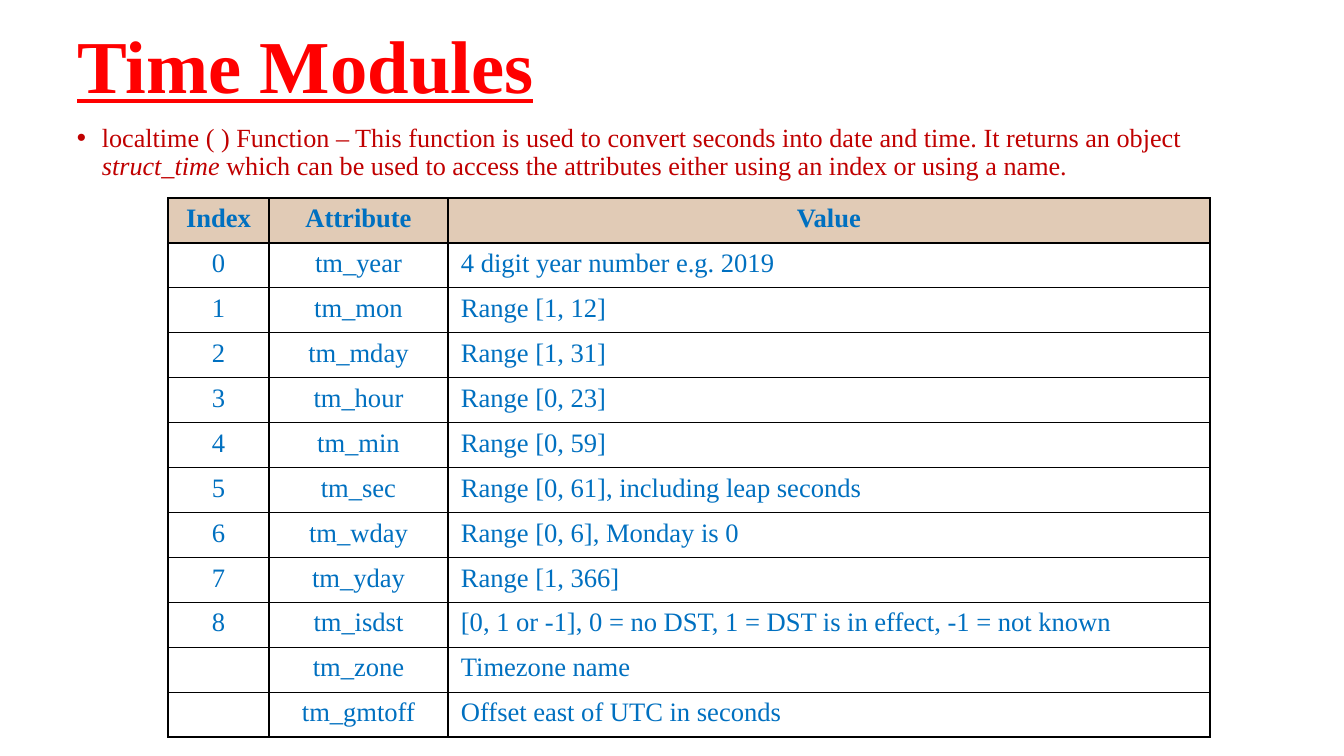
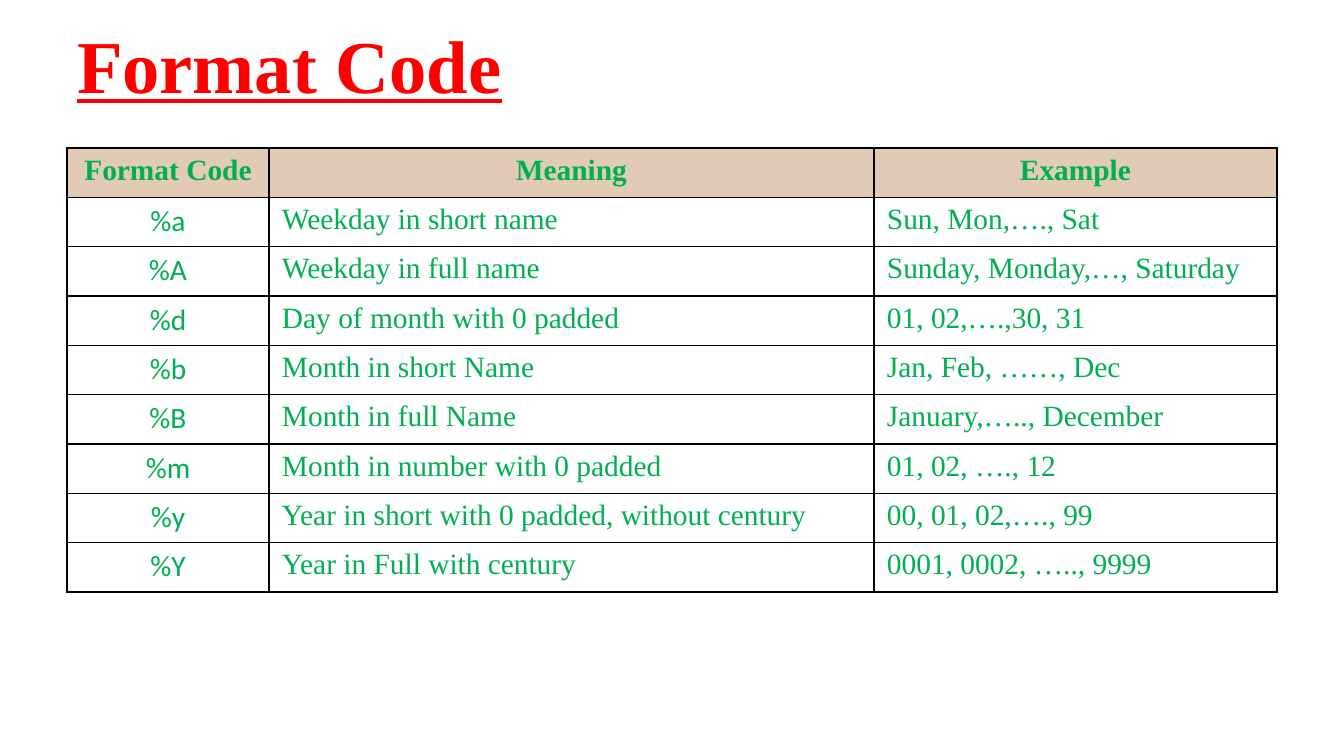
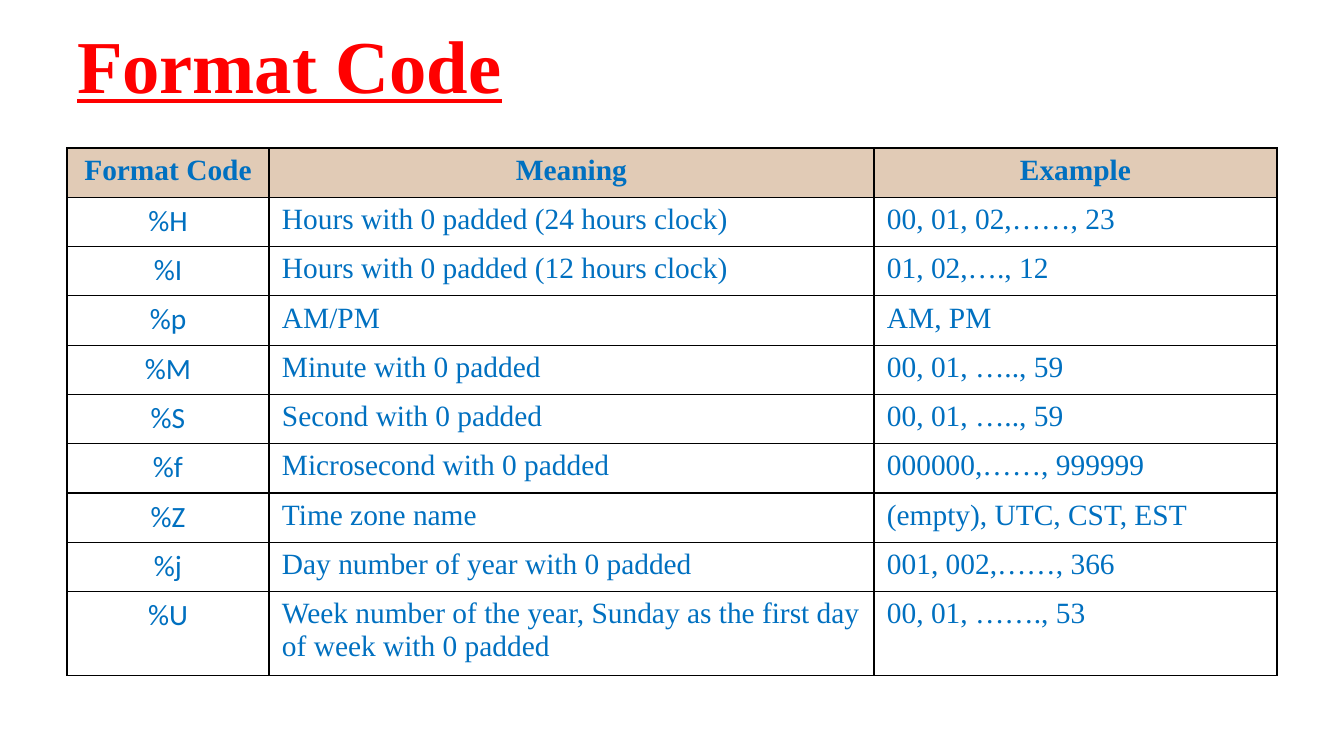
from lxml.etree import SubElement
from pptx import Presentation
from pptx.dml.color import RGBColor
from pptx.enum.text import MSO_ANCHOR as ANCHOR, MSO_AUTO_SIZE as AUTO, PP_ALIGN as ALIGN
from pptx.oxml.ns import qn
from pptx.util import Pt

SCALE = 914400 / 100.8
RED = RGBColor(0xFF, 0x00, 0x00)
DARK_RED = RGBColor(0xC0, 0x00, 0x00)
BLUE = RGBColor(0x00, 0x70, 0xC0)
GREEN = RGBColor(0x00, 0xB0, 0x50)
SAND = RGBColor(0xE1, 0xCB, 0xB6)
SERIF, SANS = "Times New Roman", "Calibri"

TITLE_BOX = (67, 6, 1210, 126)
INTRO_BOX = (67, 120, 1210, 75)
TIME_BOX = (168, 198, 1042, 538)
CODE_BOX = (67, 148, 1210, 444)
LONG_CODE_BOX = (67, 148, 1210, 528)
TIME_COLS = (101, 179, 762)
CODE_COLS = (202, 605, 403)

INTRO = [
    ("localtime ( ) Function – This function is used to convert seconds into date and time. "
     "It returns an object ", False),
    ("struct_time", True),
    (" which can be used to access the attributes either using an index or using a name.", False),
]
TIME_ROWS = [
    ("Index", "Attribute", "Value"),
    ("0", "tm_year", "4 digit year number e.g. 2019"),
    ("1", "tm_mon", "Range [1, 12]"),
    ("2", "tm_mday", "Range [1, 31]"),
    ("3", "tm_hour", "Range [0, 23]"),
    ("4", "tm_min", "Range [0, 59]"),
    ("5", "tm_sec", "Range [0, 61], including leap seconds"),
    ("6", "tm_wday", "Range [0, 6], Monday is 0"),
    ("7", "tm_yday", "Range [1, 366]"),
    ("8", "tm_isdst", "[0, 1 or -1], 0 = no DST, 1 = DST is in effect, -1 = not known"),
    ("", "tm_zone", "Timezone name"),
    ("", "tm_gmtoff", "Offset east of UTC in seconds"),
]
CODE_HEAD = ("Format Code", "Meaning", "Example")
DATE_CODES = [
    CODE_HEAD,
    ("%a", "Weekday in short name", "Sun, Mon,…., Sat"),
    ("%A", "Weekday in full name", "Sunday, Monday,…, Saturday"),
    ("%d", "Day of month with 0 padded", "01, 02,….,30, 31"),
    ("%b", "Month in short Name", "Jan, Feb, ……, Dec"),
    ("%B", "Month in full Name", "January,….., December"),
    ("%m", "Month in number with 0 padded", "01, 02, …., 12"),
    ("%y", "Year in short with 0 padded, without century", "00, 01, 02,…., 99"),
    ("%Y", "Year in Full with century", "0001, 0002, ….., 9999"),
]
CLOCK_CODES = [
    CODE_HEAD,
    ("%H", "Hours with 0 padded (24 hours clock)", "00, 01, 02,……, 23"),
    ("%I", "Hours with 0 padded (12 hours clock)", "01, 02,…., 12"),
    ("%p", "AM/PM", "AM, PM"),
    ("%M", "Minute with 0 padded", "00, 01, ….., 59"),
    ("%S", "Second with 0 padded", "00, 01, ….., 59"),
    ("%f", "Microsecond with 0 padded", "000000,……, 999999"),
    ("%Z", "Time zone name", "(empty), UTC, CST, EST"),
    ("%j", "Day number of year with 0 padded", "001, 002,……, 366"),
    ("%U", "Week number of the year, Sunday as the first day of week with 0 padded",
     "00, 01, ……., 53"),
]


def px(n):
    """Turn pixels into EMU."""
    return round(n * SCALE)


def add_run(p, text, color, size, name=SERIF, **extra):
    """Append a formatted run to a paragraph."""
    r = p.add_run()
    r.text = text
    r.font.color.rgb = color
    for key, value in dict(size=Pt(size), name=name, **extra).items():
        setattr(r.font, key, value)


def add_slide(prs, title):
    """Add a title-only slide with the shared title style."""
    s = prs.slides.add_slide(prs.slide_layouts[5])
    sp = s.shapes.title
    sp.left, sp.top, sp.width, sp.height = map(px, TITLE_BOX)
    tf = sp.text_frame
    for key, value in dict(word_wrap=True, auto_size=AUTO.NONE, vertical_anchor=ANCHOR.MIDDLE).items():
        setattr(tf, key, value)
    p = tf.paragraphs[0]
    p.alignment, p.line_spacing = ALIGN.LEFT, 0.9
    add_run(p, title, RED, 53.3, bold=True, underline=True)
    return s


def add_intro(s, box):
    """Add the bulleted introduction."""
    tf = s.shapes.add_textbox(*map(px, box)).text_frame
    tf.word_wrap = True
    p = tf.paragraphs[0]
    p.line_spacing, p.space_before = 0.9, Pt(10)
    for text, italic in INTRO:
        add_run(p, text, DARK_RED, 18.7, italic=italic)
    pPr = p._p.get_or_add_pPr()
    pPr.set("marL", str(px(25)))
    pPr.set("indent", str(px(-25)))
    SubElement(pPr, qn("a:buFont")).set("typeface", "Arial")
    SubElement(pPr, qn("a:buChar")).set("char", "•")


def add_borders(cell):
    """Draw a black line on each side of a cell."""
    tcPr = cell._tc.get_or_add_tcPr()
    for i, side in enumerate("LRTB"):
        ln = tcPr.makeelement(qn(f"a:ln{side}"), {"w": str(Pt(1))})
        fill = SubElement(ln, qn("a:solidFill"))
        SubElement(fill, qn("a:srgbClr")).set("val", "000000")
        tcPr.insert(i, ln)


def add_grid(s, box, cols, rows, color, size, centred=1, code_font=SERIF, extra=0):
    """Add a table with even rows, the last one taller by extra."""
    table = s.shapes.add_table(len(rows), len(cols), *map(px, box)).table
    table.first_row = table.horz_banding = False
    for column, width in zip(table.columns, cols):
        column.width = px(width)
    for row in table.rows:
        row.height = px((box[3] - extra) / len(rows))
    table.rows[len(rows) - 1].height += px(extra)
    margins = dict(margin_left=px(13), margin_right=px(13), margin_top=px(6), margin_bottom=px(7))
    for i, texts in enumerate(rows):
        for j, text in enumerate(texts):
            cell = table.cell(i, j)
            for key, value in margins.items():
                setattr(cell, key, value)
            if i == 0:
                cell.fill.solid()
                cell.fill.fore_color.rgb = SAND
            else:
                cell.fill.background()
            add_borders(cell)
            p = cell.text_frame.paragraphs[0]
            p.alignment = ALIGN.CENTER if i == 0 or j < centred else ALIGN.LEFT
            if text:
                name = code_font if i and j == 0 else SERIF
                add_run(p, text, color, size, name, bold=i == 0)


def time_slide(prs):
    """Build the slide on the time attributes."""
    s = add_slide(prs, "Time Modules")
    add_intro(s, INTRO_BOX)
    add_grid(s, TIME_BOX, TIME_COLS, TIME_ROWS, BLUE, 19, centred=2)


def code_slide(prs, box, rows, color, extra=0):
    """Build a slide of format codes."""
    s = add_slide(prs, "Format Code")
    add_grid(s, box, CODE_COLS, rows, color, 21, code_font=SANS, extra=extra)


def main():
    """Build and save the presentation."""
    prs = Presentation()
    prs.slide_width, prs.slide_height = px(1344), px(756)
    time_slide(prs)
    code_slide(prs, CODE_BOX, DATE_CODES, GREEN)
    code_slide(prs, LONG_CODE_BOX, CLOCK_CODES, BLUE, extra=35)
    prs.save("out.pptx")


if __name__ == "__main__":
    main()
